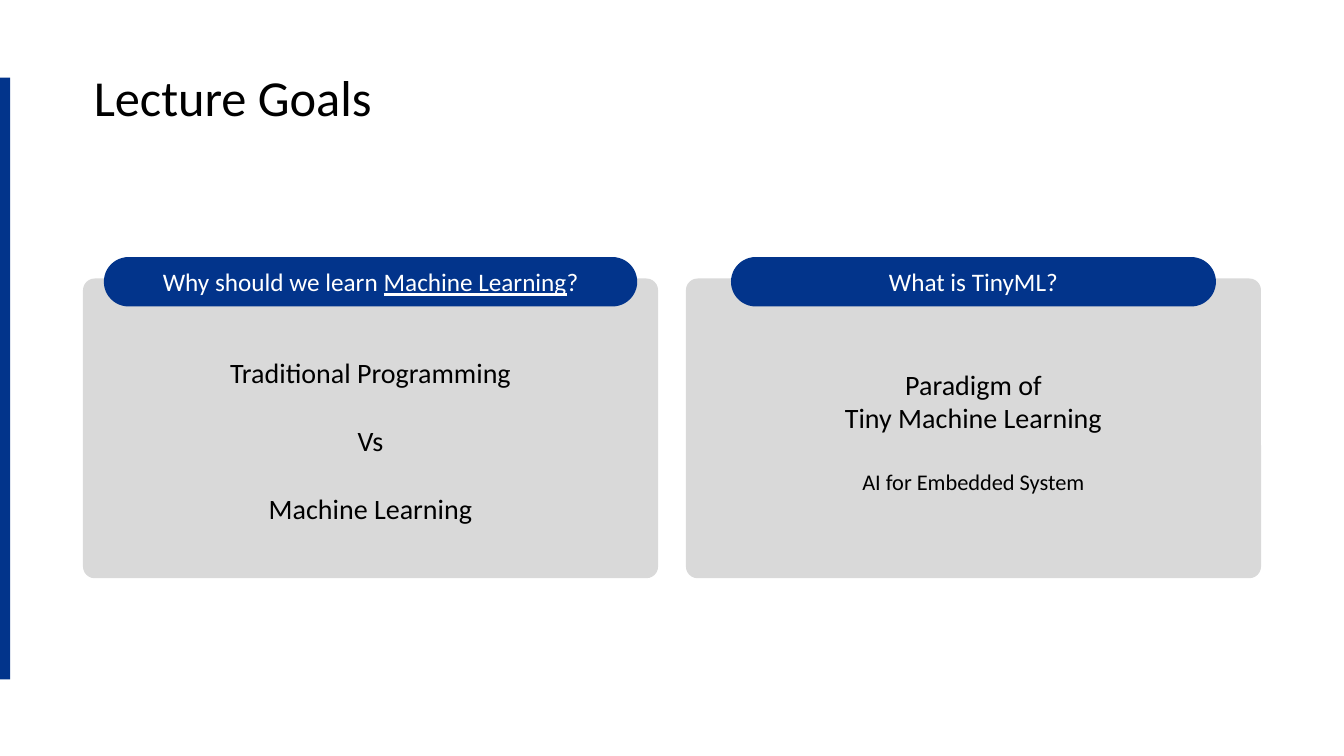
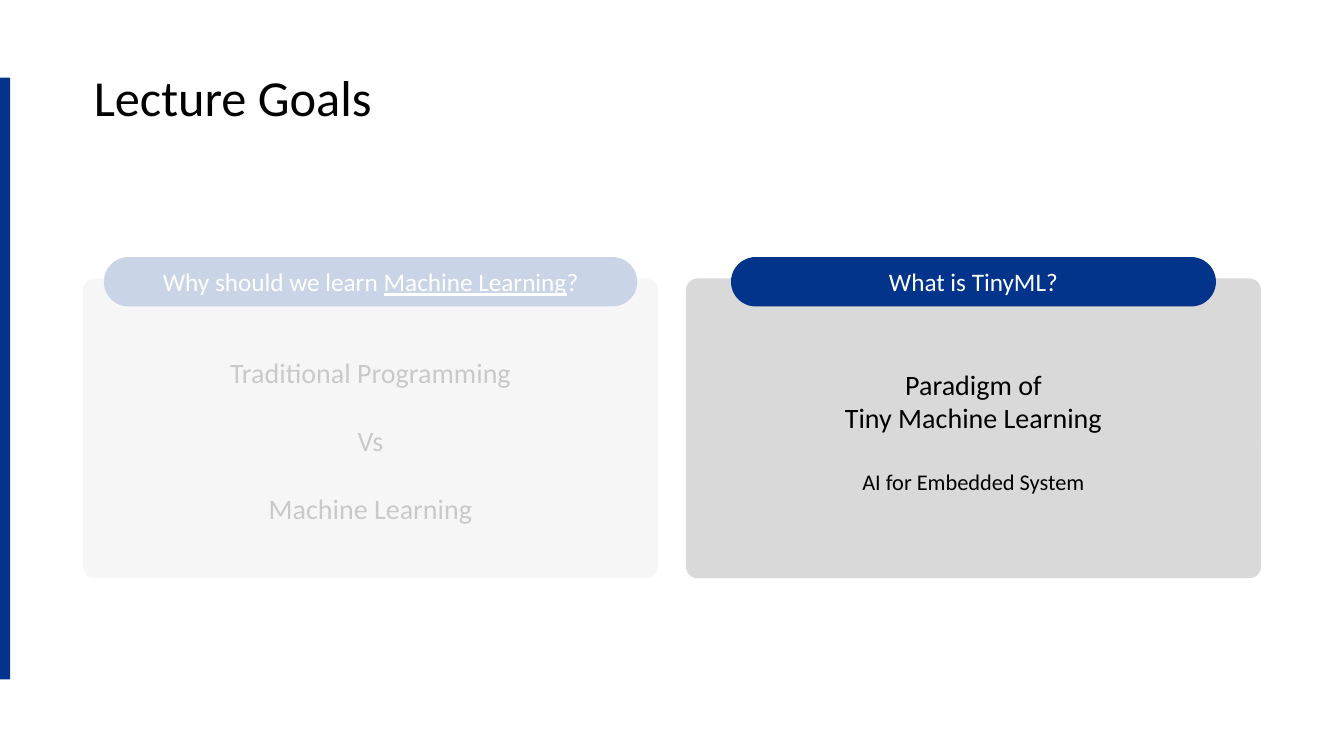
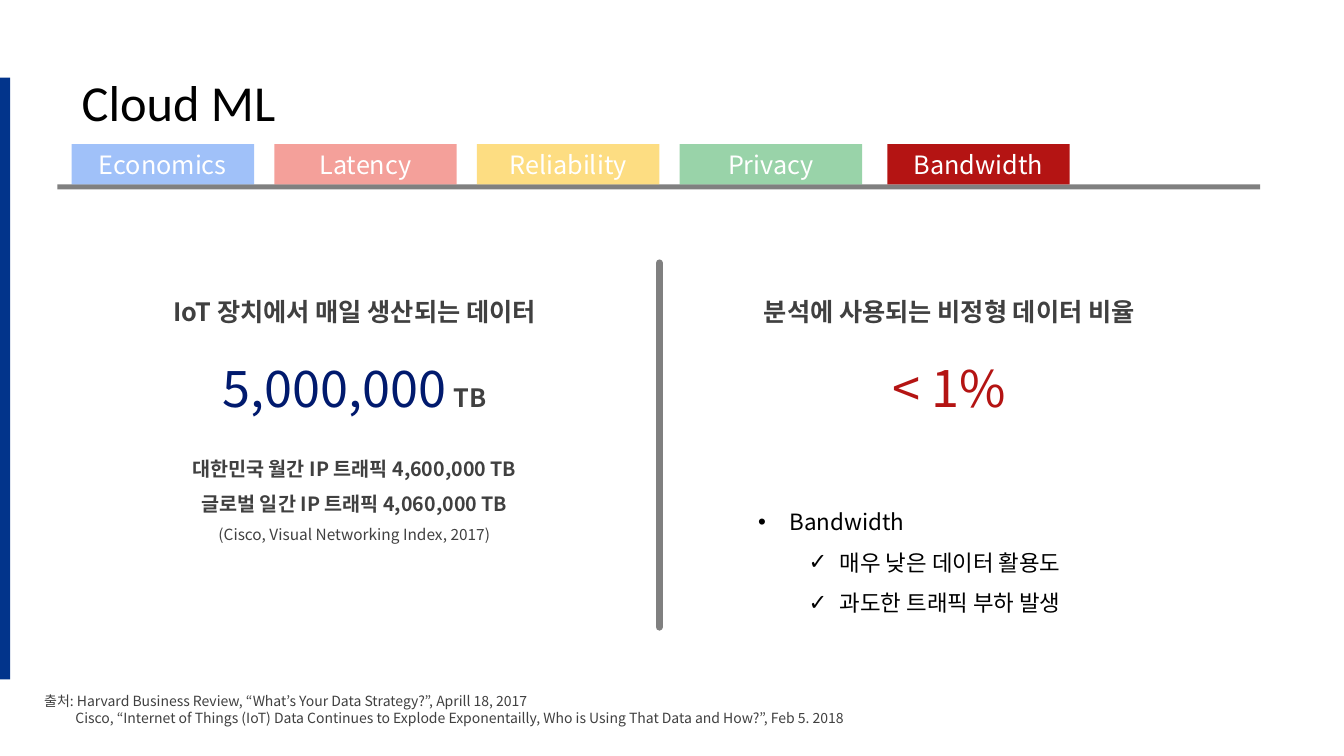
"""Builds three lecture slides: the goals, the goals with one dimmed, and Cloud ML bandwidth."""
from lxml import etree
from pptx import Presentation
from pptx.dml.color import RGBColor
from pptx.enum.shapes import MSO_CONNECTOR, MSO_SHAPE
from pptx.enum.text import MSO_ANCHOR, MSO_AUTO_SIZE, PP_ALIGN
from pptx.oxml.ns import qn
from pptx.util import Inches, Pt

RECT, ROUND = MSO_SHAPE.RECTANGLE, MSO_SHAPE.ROUNDED_RECTANGLE
STRAIGHT = MSO_CONNECTOR.STRAIGHT
TOP, MIDDLE = MSO_ANCHOR.TOP, MSO_ANCHOR.MIDDLE
LEFT, CENTER = PP_ALIGN.LEFT, PP_ALIGN.CENTER
NO_FIT = MSO_AUTO_SIZE.NONE
LAYOUT_BULLETS, LAYOUT_TITLE = 1, 5

LATIN, KOREAN = "Calibri", "Noto Sans CJK KR"
BLACK, WHITE, NAVY, CARD = "000000", "FFFFFF", "02348B", "D9D9D9"
DARK, RULE, DEEP_BLUE, RED = "404040", "808080", "011A6E", "B41413"
LOOSE, TIGHT = 1.8, 1.2

CARD_TOP, CARD_W, CARD_H = 2.77, 5.69, 2.96
PILL_TOP, PILL_H = 2.55, 0.49
GOALS = [
    dict(left=0.83, pill_w=5.29, text_top=0.73,
         head=["Why should we learn ", ("Machine Learning", dict(underline=True)), "?"],
         lines=[("Traditional Programming", 20, 0), ("Vs", 20, 24.4),
                ("Machine Learning", 20, 24.4)]),
    dict(left=6.81, pill_w=4.81, text_top=0.84,
         head="What is TinyML?",
         lines=[("Paradigm of", 20, 0), ("Tiny Machine Learning", 20, 0),
                ("AI for Embedded System", 16, 24.4)]),
]

TAB_LEFT, TAB_STEP = 0.71, 2.01
TABS = [
    ("Economics", "4385F4", 50, 0),
    ("Latency", "EB4236", 50, 0),
    ("Reliability", "FCBC06", 50, 0),
    ("Privacy", "34A854", 50, 0),
    ("Bandwidth", RED, 100, 0.05),
]
VOLUME = [
    ("IoT 장치에서 매일 생산되는 데이터", dict(size=18, bold=True)),
    (["5,000,000", (" ", dict(size=22)),
      ("TB", dict(size=18, color=DARK, bold=True))], dict(size=36, color=DEEP_BLUE)),
    ("대한민국 월간 IP 트래픽 4,600,000 TB", dict(size=14, bold=True, before=19.8)),
    ("글로벌 일간 IP 트래픽 4,060,000 TB", dict(size=14, bold=True)),
    ("(Cisco, Visual Networking Index, 2017)", dict(size=11)),
]
USAGE = [
    ("분석에 사용되는 비정형 데이터 비율", dict(size=18, bold=True)),
    ("< 1%", dict(size=36, color=RED)),
]
BULLETS = [
    ("Bandwidth", 0, 0.31, "•"),
    ("매우 낮은 데이터 활용도", 1, 0.81, "✓"),
    ("과도한 트래픽 부하 발생", 1, 0.81, "✓"),
]
SOURCES = [
    ("출처: Harvard Business Review, “What’s Your Data Strategy?”, Aprill 18, 2017", 0),
    ("Cisco, “Internet of Things (IoT) Data Continues to Explode Exponentailly, "
     "Who is Using That Data and How?”, Feb 5. 2018", 0.31),
]


def rgb(value):
    return RGBColor.from_string(value)


def box(left, top, width, height):
    return [Inches(v) for v in (left, top, width, height)]


def format_run(r, size, font=LATIN, color=BLACK, bold=False, underline=False):
    r.font.size, r.font.name = Pt(size), font
    r.font.bold, r.font.underline = bold, underline
    r.font.color.rgb = rgb(color)
    etree.SubElement(r.font._element, qn("a:ea"), typeface=font)


def write(tf, text, align=LEFT, spacing=None, before=0, level=0,
          margin=0, hanging=0, bullet=None, **style):
    """Fill the next paragraph; text is a string or a list of strings and (string, style)."""
    p = tf.add_paragraph() if tf.text else tf.paragraphs[0]
    p.alignment, p.level, p.space_before = align, level, Pt(before)
    if spacing:
        p.line_spacing = Pt(round(style["size"] * spacing, 2))
    pPr = p._p.get_or_add_pPr()
    if margin:
        pPr.set("marL", str(Inches(margin)))
        pPr.set("indent", str(-Inches(hanging)))
    if bullet:
        etree.SubElement(pPr, qn("a:buChar"), char=bullet)
    for part in [text] if isinstance(text, str) else text:
        words, extra = (part, {}) if isinstance(part, str) else part
        r = p.add_run()
        r.text = words
        format_run(r, **{**style, **extra})


def add_box(s, kind, at, fill, opacity=100, radius=None, line=None, anchor=MIDDLE):
    sp = s.shapes.add_shape(kind, *box(*at))
    sp.shadow.inherit = False
    sp.fill.solid()
    sp.fill.fore_color.rgb = rgb(fill)
    if opacity < 100:
        color = sp._element.spPr.find(qn("a:solidFill")).find(qn("a:srgbClr"))
        etree.SubElement(color, qn("a:alpha"), val=str(opacity * 1000))
    if radius is not None:
        sp.adjustments[0] = radius
    if line:
        sp.line.color.rgb, sp.line.width = rgb(line), Pt(1)
    else:
        sp.line.fill.background()
    sp.text_frame.vertical_anchor = anchor
    return sp


def add_text(s, at):
    tf = s.shapes.add_textbox(*box(*at)).text_frame
    tf.word_wrap = True
    return tf


def place(sp, at):
    sp.left, sp.top, sp.width, sp.height = box(*at)
    tf = sp.text_frame
    tf.word_wrap, tf.auto_size, tf.vertical_anchor = True, NO_FIT, TOP
    return tf


def add_slide(prs, layout, title, left, top):
    s = prs.slides.add_slide(prs.slide_layouts[layout])
    write(place(s.shapes.title, (left, top, 10, 0.71)), title, size=36)
    add_box(s, RECT, (0, 0.77, 0.1, 5.97), NAVY)
    return s


def goals_slide(prs):
    s = add_slide(prs, LAYOUT_TITLE, "Lecture Goals", 0.83, 0.61)
    for goal in GOALS:
        card = add_box(s, ROUND, (goal["left"], CARD_TOP, CARD_W, CARD_H), CARD,
                       radius=0.037, line=CARD, anchor=TOP)
        tf = card.text_frame
        tf.margin_top = Inches(goal["text_top"])
        for text, size, before in goal["lines"]:
            write(tf, text, align=CENTER, before=before, size=size)
        pill_left = goal["left"] + (CARD_W - goal["pill_w"]) / 2
        pill = add_box(s, ROUND, (pill_left, PILL_TOP, goal["pill_w"], PILL_H), NAVY,
                       radius=0.5)
        write(pill.text_frame, goal["head"], align=CENTER, size=18, color=WHITE)
    return s


def cloud_slide(prs):
    s = add_slide(prs, LAYOUT_BULLETS, "Cloud ML", 0.71, 0.66)
    add_box(s, RECT, (0.57, 1.83, 11.93, 0.05), RULE)
    for i, (name, color, opacity, shift) in enumerate(TABS):
        tab = add_box(s, RECT, (TAB_LEFT + i * TAB_STEP + shift, 1.43, 1.81, 0.4),
                      color, opacity)
        write(tab.text_frame, name, align=CENTER, spacing=TIGHT,
              size=18, font=KOREAN, color=WHITE)

    for left, height, lines in ((1.19, 2.69, VOLUME), (7.09, 1.39, USAGE)):
        tf = add_text(s, (left, 2.74, 4.65, height))
        for text, style in lines:
            write(tf, text, align=CENTER, spacing=LOOSE,
                  **{"font": KOREAN, "color": DARK, **style})

    divider = s.shapes.add_connector(STRAIGHT, *box(6.54, 2.61, 6.54, 6.22))
    divider.line.color.rgb, divider.line.width = rgb(RULE), Pt(5.25)
    divider.line._get_or_add_ln().set("cap", "rnd")
    etree.SubElement(divider._element.spPr, qn("a:effectLst"))

    tf = place(s.placeholders[1], (7.42, 4.86, 5.08, 1.27))
    for text, level, margin, bullet in BULLETS:
        write(tf, text, spacing=LOOSE, level=level, margin=margin, hanging=0.31,
              bullet=bullet, size=16, font=KOREAN)

    tf = add_text(s, (0.34, 6.82, 8.6, 0.44))
    for text, margin in SOURCES:
        write(tf, text, spacing=TIGHT, margin=margin, size=10, font=KOREAN, color=DARK)


def main():
    prs = Presentation()
    prs.slide_width, prs.slide_height = Inches(13.33), Inches(7.5)
    goals_slide(prs)
    dimmed = goals_slide(prs)
    add_box(dimmed, RECT, (0.44, 1.8, 6.29, 4.33), WHITE, opacity=79)
    cloud_slide(prs)
    prs.save("out.pptx")


if __name__ == "__main__":
    main()
